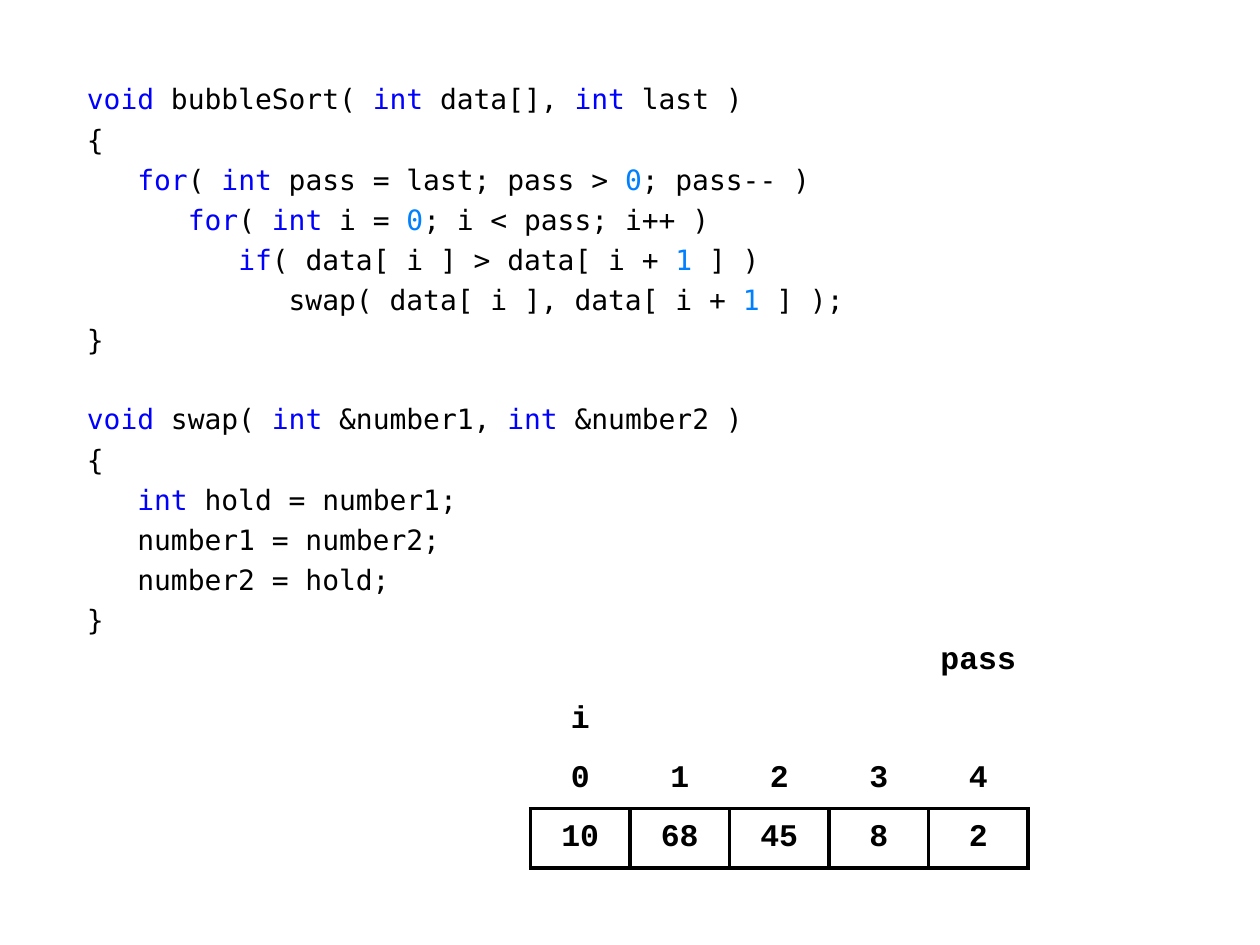
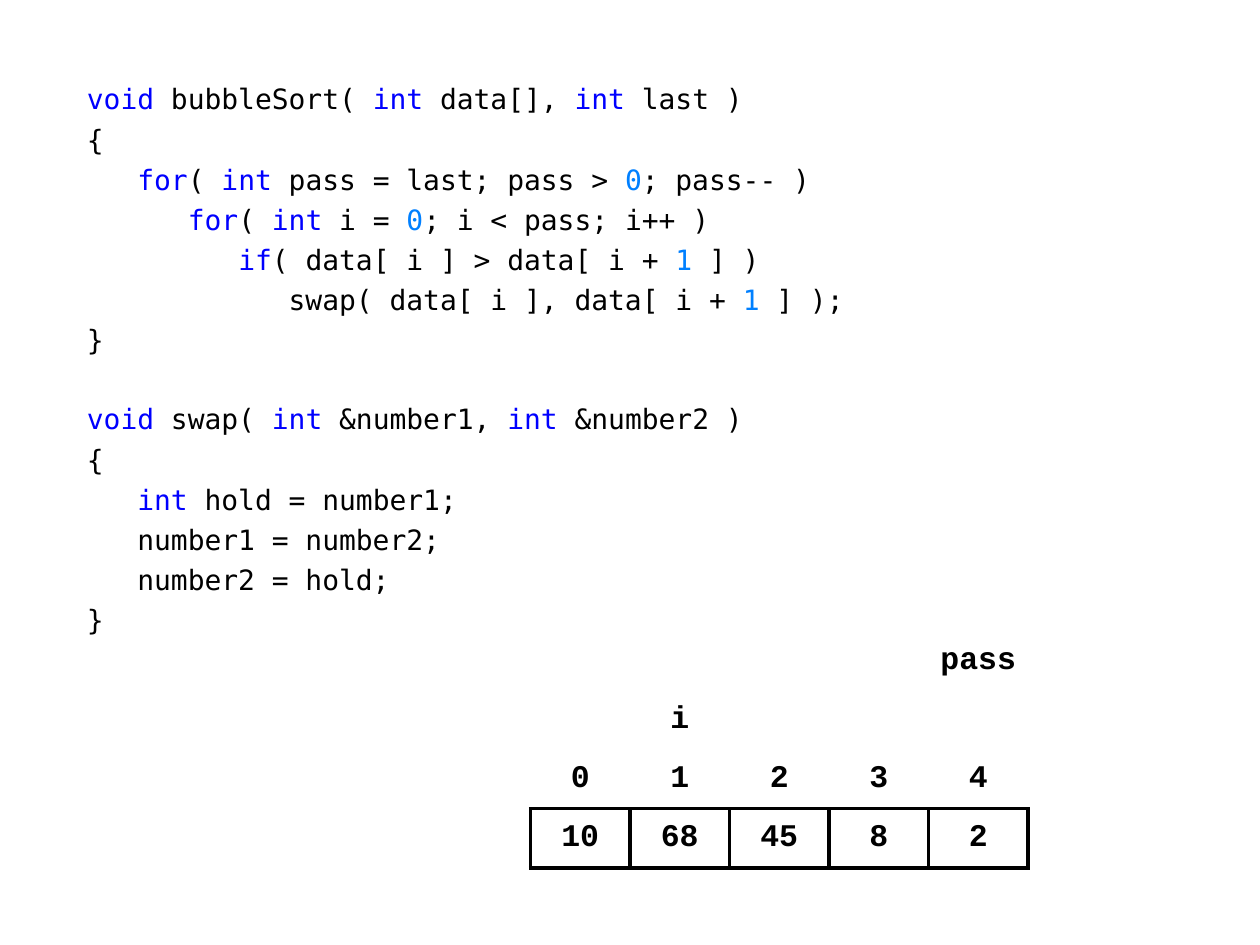
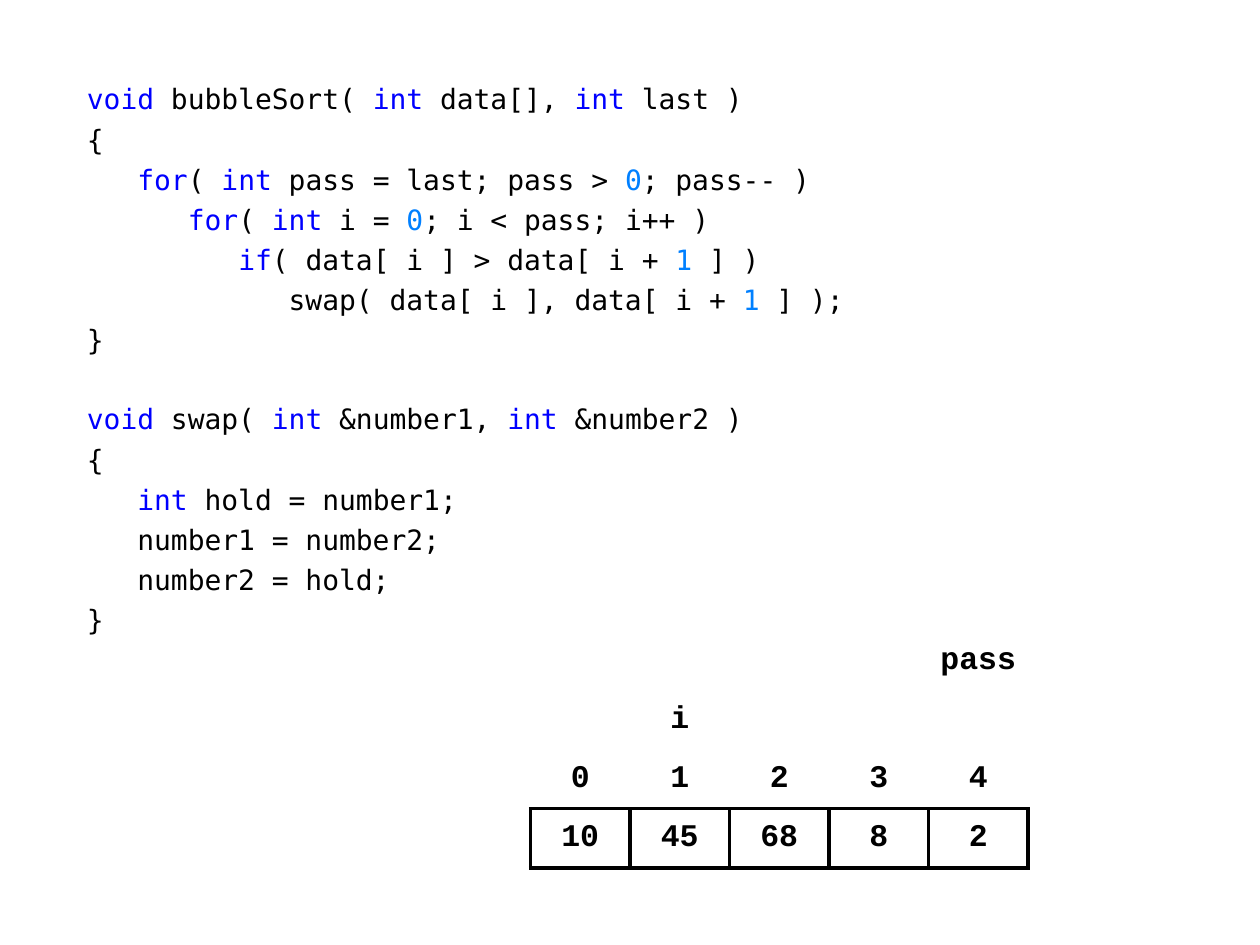
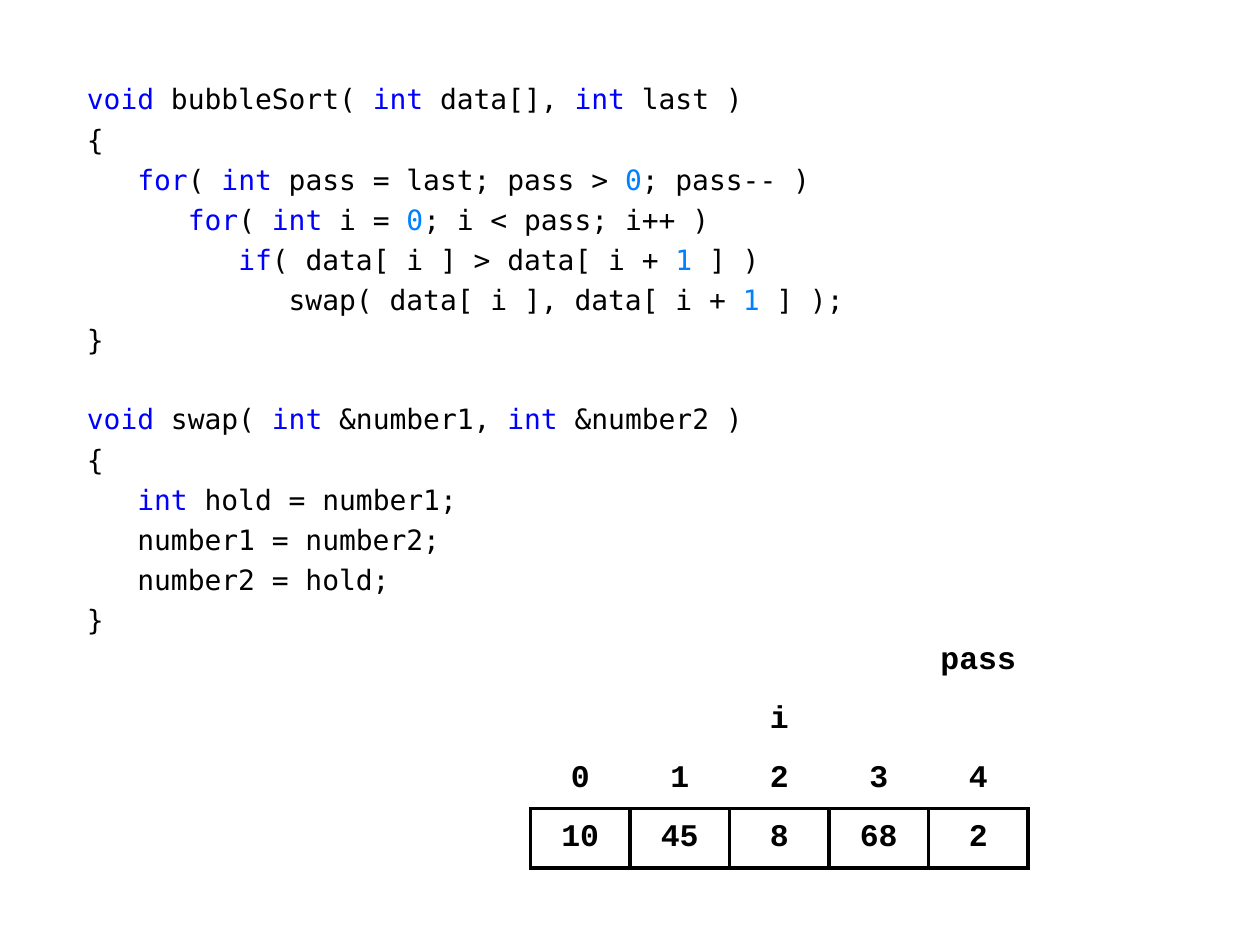
from itertools import groupby

from lxml.etree import SubElement
from pptx import Presentation
from pptx.dml.color import RGBColor
from pptx.enum.text import MSO_ANCHOR, MSO_AUTO_SIZE, PP_ALIGN
from pptx.oxml.ns import qn
from pptx.util import Inches, Pt

FUNCTIONS = [
    """void bubbleSort( int data[], int last )
{
   for( int pass = last; pass > 0; pass-- )
      for( int i = 0; i < pass; i++ )
         if( data[ i ] > data[ i + 1 ] )
            swap( data[ i ], data[ i + 1 ] );
}""",
    """void swap( int &number1, int &number2 )
{
   int hold = number1;
   number1 = number2;
   number2 = hold;
}""",
]
STEPS = [
    {"pass": 4, "i": 0, "data": [10, 68, 45, 8, 2]},
    {"pass": 4, "i": 1, "data": [10, 68, 45, 8, 2]},
    {"pass": 4, "i": 1, "data": [10, 45, 68, 8, 2]},
    {"pass": 4, "i": 2, "data": [10, 45, 8, 68, 2]},
]

BLACK, WHITE = "000000", "FFFFFF"
KEYWORD_COLOR, NUMBER_COLOR = "0000FF", "0080FF"
KEYWORDS = {"void", "int", "for", "if"}
CODE_FONT = {"name": "DejaVu Sans Mono", "size": Pt(16)}
CELL_FONT = {"name": "Courier New", "size": Pt(18), "bold": True}

CODE_BOX = {"left": 0.59, "top": 0.6, "width": 8.82, "height": 4.57}
LINE_GAP, FUNCTION_GAP = Pt(3.73), Pt(26.09)

TABLE_LEFT, TABLE_TOP = 4.21, 5.01
COLUMN_WIDTH, ROW_HEIGHT = 0.79, 0.47
CELL_FORMAT = {
    "vertical_anchor": MSO_ANCHOR.MIDDLE,
    "margin_left": Inches(0.04), "margin_right": Inches(0.04),
    "margin_top": Inches(0.05), "margin_bottom": Inches(0.05),
}
BORDER_WIDTH = Pt(2.25)
ROW_BORDERS = ["", "", "B", "LRTB"]
PLAIN_TABLE_STYLE = "{2D5ABB26-0587-4C30-8999-92F81FD0307C}"


def set_attributes(target, values):
    for name, value in values.items():
        setattr(target, name, value)


def set_color(color_format, color):
    color_format.rgb = RGBColor.from_string(color)


def add_run(paragraph, text, font, color):
    run = paragraph.add_run()
    run.text = text
    set_attributes(run.font, font)
    set_color(run.font.color, color)


def word_color(word):
    if word in KEYWORDS:
        return KEYWORD_COLOR
    return NUMBER_COLOR if word.isdigit() else BLACK


def colored_parts(line):
    """Yield the line's stretches of one colour as (colour, text)."""
    words = ["".join(letters) for _, letters in groupby(line, str.isalnum)]
    for color, part in groupby(words, word_color):
        yield color, "".join(part)


def add_code(slide):
    body = slide.placeholders[1]
    set_attributes(body, {name: Inches(value) for name, value in CODE_BOX.items()})
    frame = body.text_frame
    frame.auto_size = MSO_AUTO_SIZE.NONE
    gap = Pt(0)
    paragraph = frame.paragraphs[0]
    for function in FUNCTIONS:
        for line in function.splitlines():
            if paragraph is None:
                paragraph = frame.add_paragraph()
            paragraph.space_before = gap
            properties = paragraph._p.get_or_add_pPr()
            properties.set("marL", "0")
            properties.set("indent", "0")
            SubElement(properties, qn("a:buNone"))
            for color, text in colored_parts(line):
                add_run(paragraph, text, CODE_FONT, color)
            paragraph, gap = None, LINE_GAP
        gap = FUNCTION_GAP


def add_borders(cell, sides):
    properties = cell._tc.get_or_add_tcPr()
    for side in sides:
        line = SubElement(properties, qn(f"a:ln{side}"), w=str(BORDER_WIDTH))
        fill = SubElement(line, qn("a:solidFill"))
        SubElement(fill, qn("a:srgbClr"), val=BLACK)


def format_cell(cell, text, borders):
    set_attributes(cell, CELL_FORMAT)
    add_borders(cell, borders)
    if borders == "LRTB":
        cell.fill.solid()
        set_color(cell.fill.fore_color, WHITE)
    else:
        cell.fill.background()
    paragraph = cell.text_frame.paragraphs[0]
    paragraph.alignment = PP_ALIGN.CENTER
    if text:
        add_run(paragraph, text, CELL_FONT, BLACK)


def add_array_table(slide, step):
    data = step["data"]
    indexes = range(len(data))
    rows = [["pass" if index == step["pass"] else "" for index in indexes],
            ["i" if index == step["i"] else "" for index in indexes],
            indexes, data]
    table = slide.shapes.add_table(
        len(rows), len(data), Inches(TABLE_LEFT), Inches(TABLE_TOP),
        Inches(COLUMN_WIDTH * len(data)), Inches(ROW_HEIGHT * len(rows))).table
    set_attributes(table, {"first_row": False, "horz_banding": False})
    table._tbl.tblPr.find(qn("a:tableStyleId")).text = PLAIN_TABLE_STYLE
    for column in table.columns:
        column.width = Inches(COLUMN_WIDTH)
    for table_row, values, borders in zip(table.rows, rows, ROW_BORDERS):
        table_row.height = Inches(ROW_HEIGHT)
        for cell, value in zip(table_row.cells, values):
            format_cell(cell, str(value), borders)


def main():
    presentation = Presentation()
    presentation.slide_width = Inches(10)
    presentation.slide_height = Inches(7.5)
    for step in STEPS:
        slide = presentation.slides.add_slide(presentation.slide_layouts[1])
        title = slide.shapes.title.element
        title.getparent().remove(title)
        add_code(slide)
        add_array_table(slide, step)
    presentation.save("out.pptx")


if __name__ == "__main__":
    main()
